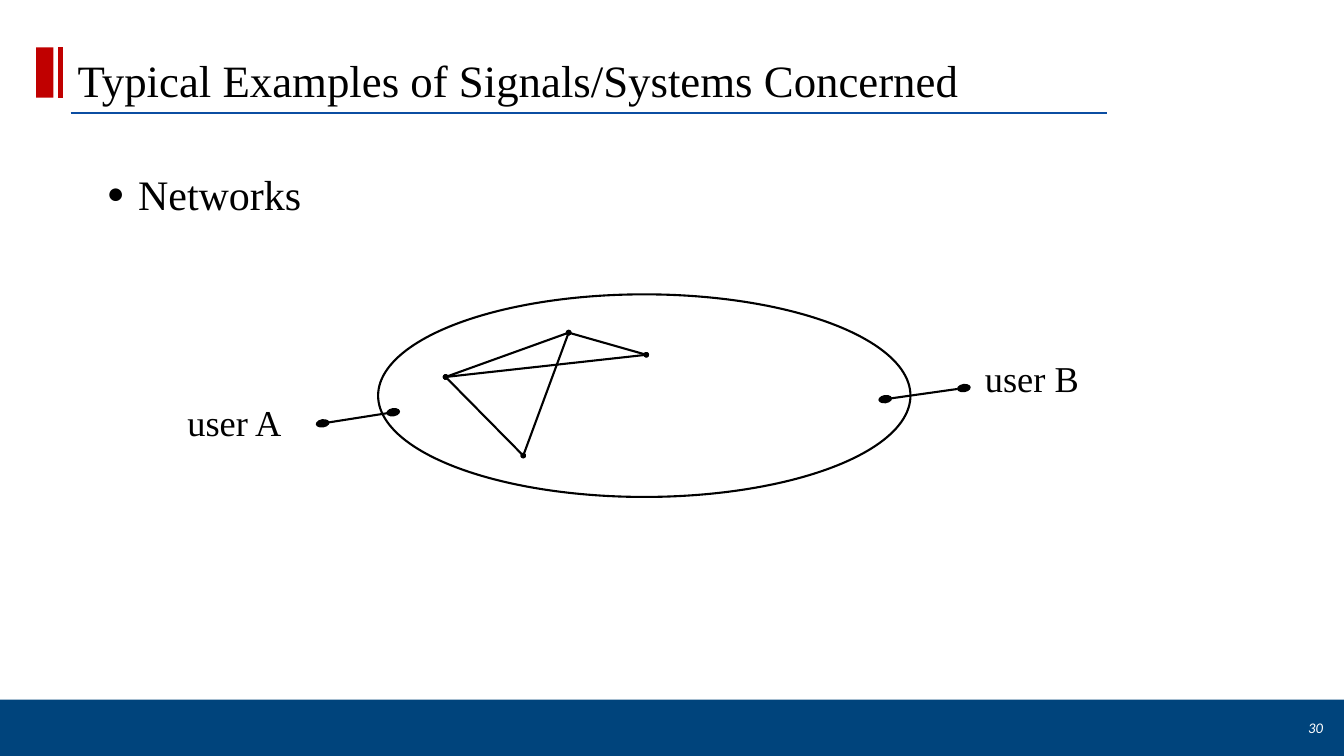
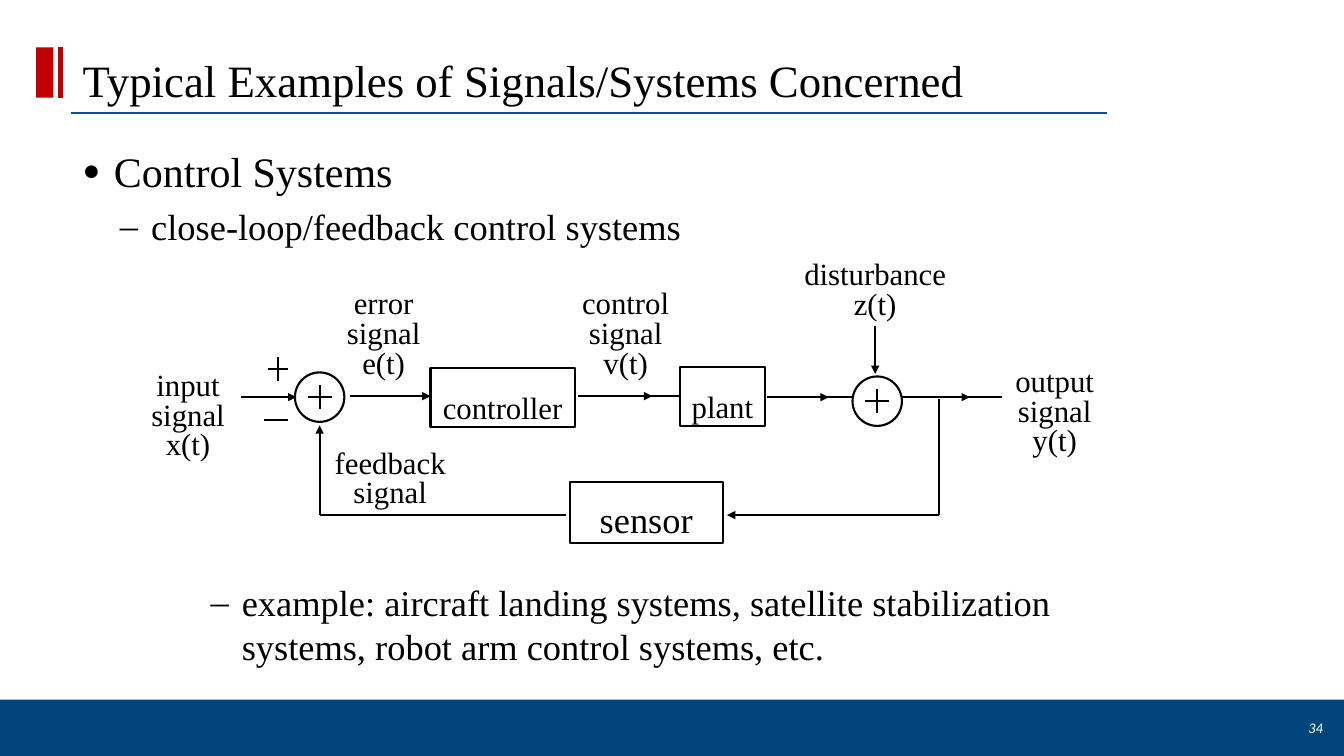
from lxml.etree import SubElement
from pptx import Presentation
from pptx.dml.color import RGBColor
from pptx.enum.shapes import MSO_CONNECTOR as LINK, MSO_SHAPE as SHAPE
from pptx.enum.text import MSO_ANCHOR as ANCHOR, MSO_AUTO_SIZE as FIT, PP_ALIGN as ALIGN
from pptx.oxml.ns import qn
from pptx.util import Inches, Pt

COLORS = {"ink": "000000", "paper": "FFFFFF", "band": "00447C", "rule": "0B4DA2", "mark": "C00000"}
SERIF, SANS = "Times New Roman", "Calibri"
CELL = Inches(0.1)
COLUMNS, ROWS = 133.3, 75
TITLE = "Typical Examples of Signals/Systems Concerned"
BULLETS = [
    {"sign": "●", "scale": 70, "margin": 8.1, "size": 30, "lines": 1.5, "before": 12},
    {"sign": "–", "scale": 100, "margin": 11.8, "size": 26, "lines": 1, "before": 6},
]
HANGING = 3.1


def cells(*counts):
    return [round(count * CELL) for count in counts]


def shift(region, *spot):
    return (region[0] + spot[0], region[1] + spot[1], *spot[2:])


def rgb(name):
    return RGBColor.from_string(COLORS[name])


def add_run(para, text, size, font=SERIF, color="ink", italic=False):
    span = para.add_run()
    span.text = text
    span.font.size = Pt(size)
    span.font.name = font
    span.font.italic = italic
    span.font.color.rgb = rgb(color)


def add_outline(page, kind, spot, fill=None, line=None):
    box = page.shapes.add_shape(kind, *cells(*spot))
    box.shadow.inherit = False
    if fill:
        box.fill.solid()
        box.fill.fore_color.rgb = rgb(fill)
    else:
        box.fill.background()
    if line:
        box.line.color.rgb = rgb(line)
        box.line.width = Pt(1.5)
    else:
        box.line.fill.background()
    return box


def add_line(page, start, end, color="ink", width=1.5, head=None, tail=None, breadth="med", length="med"):
    wire = page.shapes.add_connector(LINK.STRAIGHT, *cells(*start, *end))
    wire.line.color.rgb = rgb(color)
    wire.line.width = Pt(width)
    properties = wire.element.spPr
    stroke = properties.find(qn("a:ln"))
    for tag, kind in (("a:headEnd", head), ("a:tailEnd", tail)):
        if kind:
            SubElement(stroke, qn(tag), type=kind, w=breadth, len=length)
    SubElement(properties, qn("a:effectLst"))
    return wire


def write_text(box, text, size, lines=1, align=ALIGN.CENTER, anchor=ANCHOR.MIDDLE, **style):
    frame = box.text_frame
    frame.word_wrap = True
    frame.vertical_anchor = anchor
    para = frame.paragraphs[0]
    para.alignment = align
    para.line_spacing = lines
    add_run(para, text, size, **style)
    return frame


def add_label(page, spot, text, size, **style):
    box = page.shapes.add_textbox(*cells(*spot))
    return write_text(box, text, size, **style)


def place(box, spot):
    box.left, box.top, box.width, box.height = cells(*spot)


def write_list(box, items, wrap=True):
    frame = box.text_frame
    frame.word_wrap = wrap
    frame.auto_size = FIT.SHAPE_TO_FIT_TEXT
    for index, (level, text) in enumerate(items):
        style = BULLETS[level]
        para = frame.add_paragraph() if index else frame.paragraphs[0]
        para.level = level
        para.line_spacing = float(style["lines"])
        para.space_before = Pt(style["before"])
        margin, hanging = cells(style["margin"], -HANGING)
        properties = para._p.get_or_add_pPr()
        properties.set("marL", str(margin))
        properties.set("indent", str(hanging))
        SubElement(properties, qn("a:buSzPct"), val=str(style["scale"] * 1000))
        SubElement(properties, qn("a:buFont"), typeface=SERIF)
        SubElement(properties, qn("a:buChar"), char=style["sign"])
        add_run(para, text, style["size"])


def decorate_layout(layout, page):
    parts = [
        add_outline(page, SHAPE.RECTANGLE, (0, 69.4, COLUMNS, 5.6), fill="band"),
        add_line(page, (7, 11.2), (109.8, 11.2), color="rule"),
        add_outline(page, SHAPE.RECTANGLE, (3.6, 4.7, 1.7, 5), fill="mark"),
        add_line(page, (6, 4.7), (6, 9.7), color="mark", width=3),
    ]
    for index, part in enumerate(parts):
        layout.shapes.element.insert(2 + index, part.element)


def fill_page(page, number, title_left, list_spot, items, wrap=True):
    title, body = page.placeholders
    place(title, (title_left, 2.5, 109.8 - title_left, 8.6))
    frame = write_text(title, TITLE, 32, align=ALIGN.LEFT, anchor=ANCHOR.BOTTOM)
    frame.auto_size = FIT.NONE
    frame.paragraphs[0]._p.get_or_add_pPr().set("marL", str(cells(3.9)[0]))
    place(body, list_spot)
    write_list(body, items, wrap)
    add_label(page, (117.9, 70.2, 14.3, 4), number, 10.5, align=ALIGN.RIGHT,
              font=SANS, color="paper", italic=True)


def draw_network(page, region):
    nodes = {"west": (26.6, 8.2), "north": (38.8, 3.8), "east": (46.5, 6), "south": (34.3, 16)}
    edges = [("west", "north"), ("west", "east"), ("north", "east"), ("west", "south"), ("north", "south")]
    for start, end in edges:
        add_line(page, shift(region, *nodes[start]), shift(region, *nodes[end]),
                 head="oval", tail="oval", breadth="sm", length="sm")
    add_outline(page, SHAPE.OVAL, shift(region, 19.9, 0, 52.8, 20.1), line="ink")
    users = [
        ("user A", (0, 10), (14.4, 12.8), (21.4, 11.7)),
        ("user B", (79.1, 5.6), (70.2, 10.4), (78, 9.3)),
    ]
    for name, corner, start, end in users:
        add_line(page, shift(region, *start), shift(region, *end), head="oval", tail="oval", length="lg")
        add_label(page, shift(region, *corner, 11.4, 5.4), name, 26, align=ALIGN.LEFT)


def draw_plus(page, center, across=1.2, down=1.2):
    x, y = center
    add_line(page, (x - across, y), (x + across, y))
    add_line(page, (x, y + down), (x, y - down))


def draw_sum(page, center, radius=2.45):
    x, y = center
    add_outline(page, SHAPE.OVAL, (x - radius, y - radius, 2 * radius, 2 * radius), line="ink")
    draw_plus(page, center)


def draw_feedback_loop(page, region):
    blocks = [
        ("plant", (55.4, 11.4, 8.5, 5.9), 22, 1.5),
        ("controller", (30.7, 11.5, 14.3, 5.9), 22, 1.5),
        ("sensor", (44.5, 22.8, 15.2, 6.1), 26, 1.3),
    ]
    for name, spot, size, lines in blocks:
        box = add_outline(page, SHAPE.RECTANGLE, shift(region, *spot), line="ink")
        write_text(box, name, size, lines).auto_size = FIT.SHAPE_TO_FIT_TEXT
    signals = [
        ("input signal x(t)", (0.8, 11.5, 11.7, 9.9)),
        ("error signal e(t)", (21, 3.4, 10.1, 9.9)),
        ("control signal v(t)", (43.9, 3.4, 12.3, 9.9)),
        ("disturbance z(t)", (66.5, 0.5, 16.6, 7)),
        ("output signal y(t)", (86.7, 11.1, 11.8, 9.9)),
        ("feedback signal", (19.5, 19.2, 14.4, 6.9)),
    ]
    for text, spot in signals:
        add_label(page, shift(region, *spot), text, 22, lines=0.8, anchor=ANCHOR.TOP)
    arrows = [
        ((11.9, 14.4), (17.4, 14.4)),
        ((22.7, 14.3), (30.7, 14.3)),
        ((45.3, 14.3), (52.7, 14.3)),
        ((64.1, 14.4), (70.2, 14.4)),
        ((77.5, 14.4), (84.2, 14.4)),
        ((74.8, 7.3), (74.8, 12.1)),
        ((81.1, 26.1), (60.1, 26.1)),
        ((19.7, 26.1), (19.7, 17.2)),
    ]
    plain = [
        ((51.9, 14.3), (55.3, 14.3)),
        ((69.7, 14.4), (72.5, 14.4)),
        ((83, 14.4), (87.4, 14.4)),
        ((81.1, 26.1), (81.1, 14.6)),
        ((19.7, 26.1), (44.1, 26.1)),
        ((14.2, 16.7), (16.6, 16.7)),
    ]
    for wires, tail in ((arrows, "triangle"), (plain, None)):
        for start, end in wires:
            add_line(page, shift(region, *start), shift(region, *end), tail=tail)
    for center in ((19.7, 14.4), (75, 14.8)):
        draw_sum(page, shift(region, *center))
    draw_plus(page, shift(region, 15.6, 11.6), across=1)


def main():
    deck = Presentation()
    deck.slide_width, deck.slide_height = cells(COLUMNS, ROWS)
    layout = deck.slide_layouts.get_by_name("Title and Content")

    networks = deck.slides.add_slide(layout)
    decorate_layout(layout, networks)
    fill_page(networks, "30", 2.8, (4.6, 13.7, 27.6, 7.7), [(0, "Networks")], wrap=False)
    draw_network(networks, (17.6, 29.2))

    control = deck.slides.add_slide(layout)
    fill_page(control, "34", 3.3, (2.2, 11.4, 66.7, 13.8),
              [(0, "Control Systems"), (1, "close-loop/feedback control systems")])
    draw_feedback_loop(control, (12, 25))
    examples = control.shapes.add_textbox(*cells(11.2, 57.1, 100, 9.8))
    write_list(examples, [(1, "example: aircraft landing systems, satellite stabilization systems, "
                              "robot arm control systems, etc.")])
    deck.save("out.pptx")


if __name__ == "__main__":
    main()
